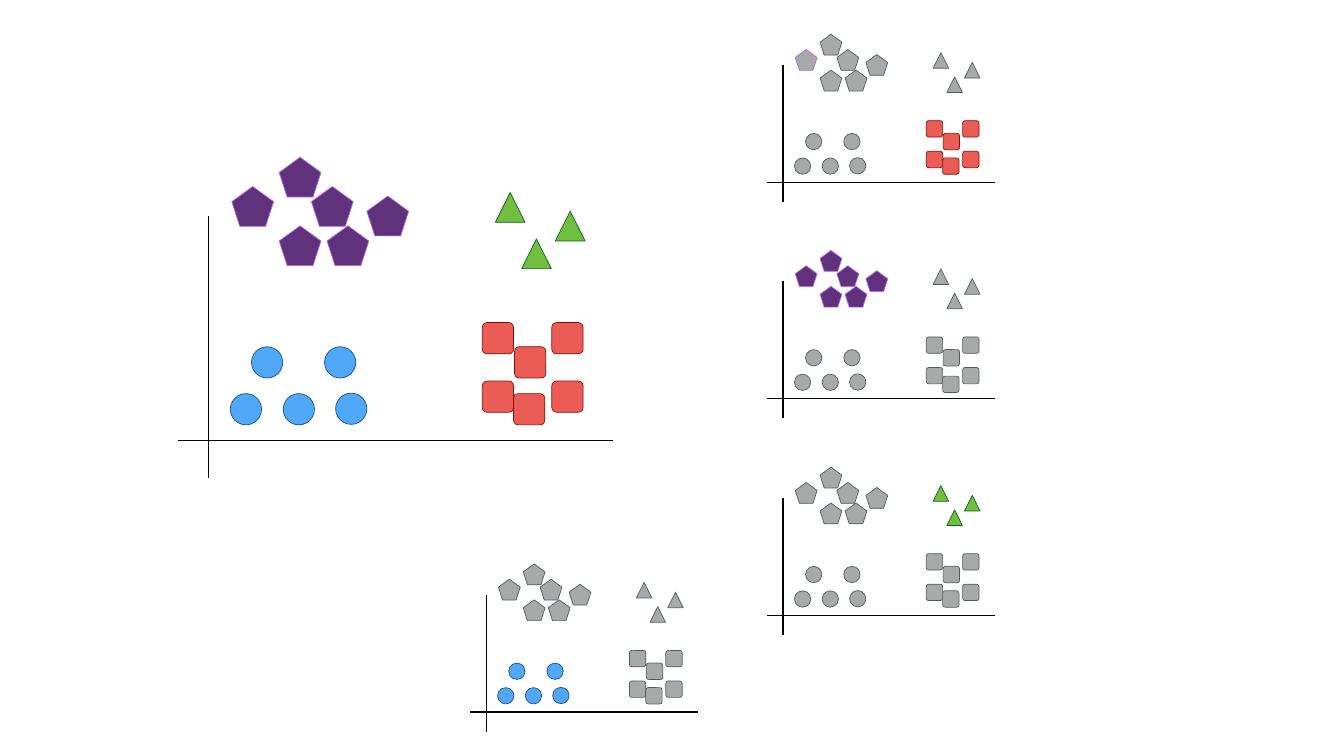
import pptx
import pptx.dml.color
import pptx.enum.shapes
import pptx.util
from lxml import etree
from pptx.util import Inches

COLORS = {
    "axis": "000000",
    "triangles": "70BF41", "triangles_line": "0B5D18",
    "circles": "51A8F9", "circles_line": "174F86",
    "squares": "EC5C57", "squares_line": "851001",
    "pentagons": "5F327B", "pentagons_line": "B36AE1",
    "muted": "A6AAA9", "muted_line": "53585F",
}

PRESETS = pptx.enum.shapes.MSO_SHAPE

# Each cluster: preset, width, height, and left/top of its members measured
# from the point where the axes cross, at full size
CLUSTERS = {
    "triangles": (PRESETS.ISOSCELES_TRIANGLE, 0.59, 0.59,
                  [(5.69, -4.92), (6.21, -4), (6.88, -4.55)]),
    "circles": (PRESETS.OVAL, 0.62, 0.62,
                [(0.43, -0.93), (1.48, -0.93), (0.85, -1.86),
                 (2.3, -1.86), (2.52, -0.94)]),
    "squares": (PRESETS.ROUNDED_RECTANGLE, 0.62, 0.62,
                [(5.43, -2.34), (6.07, -1.86), (6.81, -2.34),
                 (6.81, -1.18), (5.43, -1.18), (6.05, -0.93)]),
    "pentagons": (PRESETS.REGULAR_PENTAGON, 0.83, 0.79,
                  [(1.4, -5.62), (0.46, -5.04), (1.4, -4.26),
                   (2.04, -5.04), (2.35, -4.26), (3.14, -4.85)]),
}

# Start and end of the vertical and horizontal axis, from the crossing
AXES = [((0, 0.74), (0, -4.45)), ((-0.6, 0), (8.02, 0))]
SMALL = 4.51 / 8.62


def rgb(name):
    return pptx.dml.color.RGBColor.from_string(COLORS[name])


def add_axis(group, start, end):
    axis = group.shapes.add_connector(
        pptx.enum.shapes.MSO_CONNECTOR.STRAIGHT,
        *(Inches(length) for length in (*start, *end)))
    axis.line.color.rgb = rgb("axis")
    axis.line.width = pptx.util.Pt(2)
    properties = axis.line._get_or_add_ln().getparent()
    etree.SubElement(properties, pptx.oxml.ns.qn("a:effectLst"))


def add_marker(group, preset, left, top, width, height, color):
    marker = group.shapes.add_shape(
        preset, Inches(left), Inches(top), Inches(width), Inches(height))
    marker.shadow.inherit = False
    marker.fill.solid()
    marker.fill.fore_color.rgb = rgb(color)
    marker.line.color.rgb = rgb(color + "_line")
    marker.line.width = pptx.util.Pt(1)
    if preset == PRESETS.ROUNDED_RECTANGLE:
        marker.adjustments[0] = 0.15
    return marker


def add_scatter(slide, origin_x, origin_y, scale, highlighted):
    """Draw axes and clusters; return the markers by cluster name."""
    group = slide.shapes.add_group_shape()

    def place(point):
        return origin_x + point[0] * scale, origin_y + point[1] * scale

    for start, end in AXES:
        add_axis(group, place(start), place(end))

    markers = {}
    for name, (preset, width, height, points) in CLUSTERS.items():
        color = name if name in highlighted else "muted"
        markers[name] = [
            add_marker(group, preset, *place(point),
                       width * scale, height * scale, color)
            for point in points]
    return markers


def main():
    presentation = pptx.Presentation()
    presentation.slide_width = Inches(26.67)
    presentation.slide_height = Inches(15)
    slide = presentation.slides.add_slide(presentation.slide_layouts[6])

    # All four clusters
    add_scatter(slide, 4.14, 8.74, 1, CLUSTERS)

    # One cluster against the rest
    red = add_scatter(slide, 15.54, 3.62, SMALL, ["squares"])
    add_scatter(slide, 15.54, 12.21, SMALL, ["triangles"])
    add_scatter(slide, 9.65, 14.13, SMALL, ["circles"])
    purple = add_scatter(slide, 15.54, 7.91, SMALL, ["pentagons"])

    # Single markers that differ from their cluster
    red["pentagons"][1].line.color.rgb = rgb("pentagons_line")
    purple["squares"][-1].top += Inches(0.04)

    presentation.save("out.pptx")


if __name__ == "__main__":
    main()
